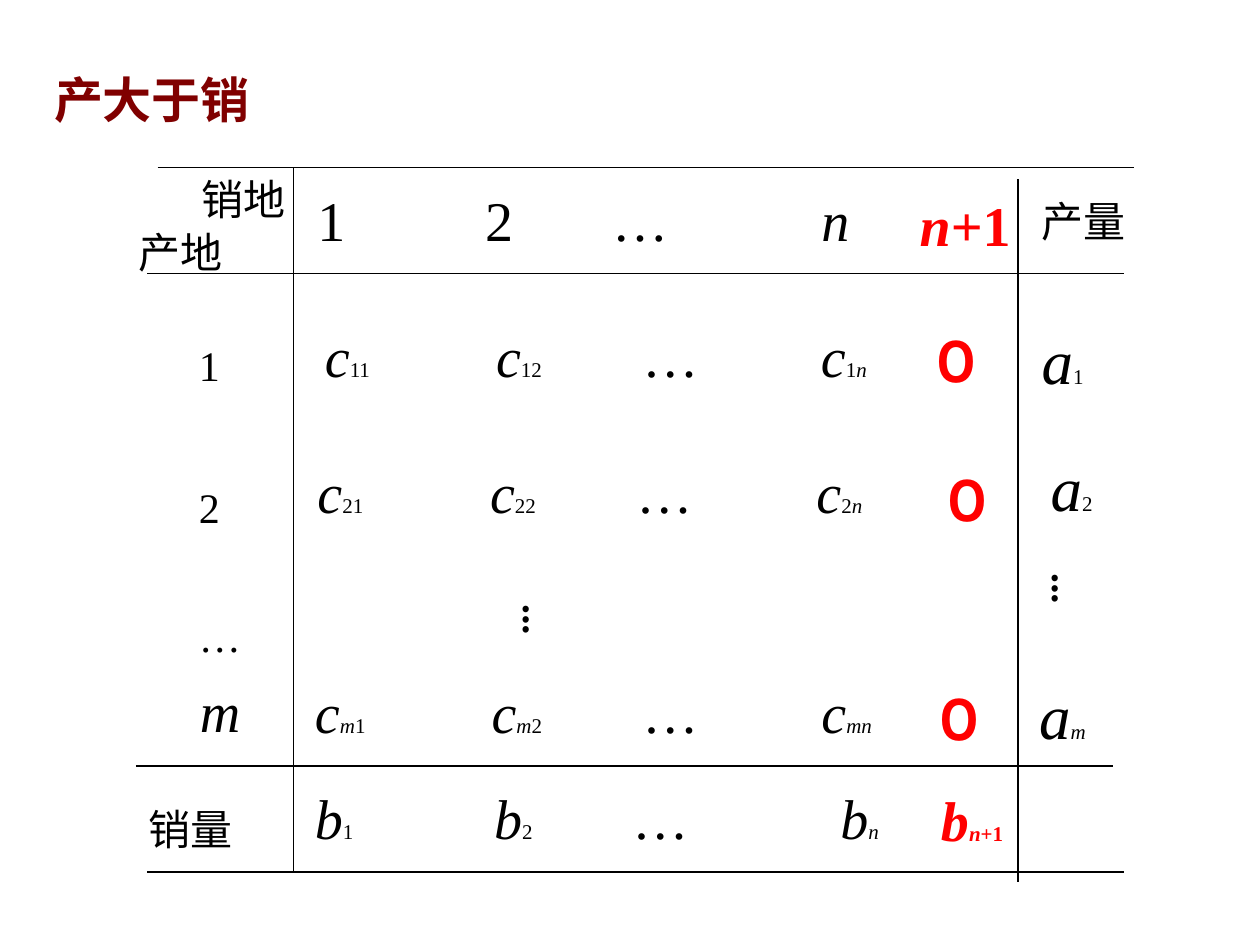
from itertools import groupby

from lxml import etree
from pptx import Presentation
from pptx.dml.color import RGBColor
from pptx.enum.shapes import MSO_CONNECTOR
from pptx.enum.text import MSO_ANCHOR
from pptx.oxml.ns import qn
from pptx.util import Cm, Pt

STRAIGHT = MSO_CONNECTOR.STRAIGHT
MIDDLE = MSO_ANCHOR.MIDDLE
COLORS = {"ink": "000000", "title": "800000", "added": "FF0000"}
SANS, SERIF = "Karla", "Times New Roman"
SUB_SIZE = 12
HEIGHTS = {24: 1.27, 28: 1.45, 32: 1.63, 36: 1.78}

RULES = [
    (3.18, 3.38, 22.86, 3.38),
    (2.97, 5.51, 22.66, 5.51),
    (2.74, 15.44, 22.43, 15.44),
    (2.97, 17.58, 22.66, 17.58),
    (5.92, 3.38, 5.92, 17.58),
    (20.52, 3.61, 20.52, 17.78),
]
TITLE = ("产大于销", 0.84, 1.27)
LABELS = [
    ("销地", 3.81, 3.38),
    ("产地", 2.54, 4.45),
    ("销量", 2.74, 16.08),
    ("产量", 20.75, 3.81),
]
ROWS = [
    (["1", "2", "…", "n"], 6.15, 3.61, 11.56, (3.38, 5.94, 10.16)),
    (["c_11", "c_12", "…", "c_1n"], 6.3, 6.35, 11.86, (3.45, 6.4, 10)),
    (["c_21", "c_22", "…", "c_2n"], 6.15, 9.09, 12.01, (3.48, 6.43, 10.06)),
    (["c_m1", "c_m2", "…", "c_mn"], 6.1, 13.54, 12.27, (3.56, 6.6, 10.21)),
    (["b_1", "b_2", "…", "b_n"], 6.1, 15.67, 12.4, (3.61, 6.4, 10.59)),
]
ORIGINS = [("1", 0), ("2", 52.5), ("…", 45)]
OUTPUTS = [("a_1", 20.75, 6.35), ("a_2", 20.93, 8.92), ("a_m", 20.7, 13.51)]
ZEROS = [(18.62, 6.32), (18.85, 9.12), (18.69, 13.54)]
ADDED = [("n+1", 18.29, 3.71, 5.41), ("b_n+1", 18.72, 15.72, 2.77)]
VERTICAL_DOTS = [(19.02, 9.96), (8.36, 10.59)]


def add_runs(p, text, size, font, color, bold):
    for italic, chars in groupby(text, lambda ch: ch.isascii() and ch.isalpha()):
        r = p.add_run()
        r.text = "".join(chars)
        r.font.size = Pt(size)
        r.font.name = font
        r.font.bold = bold
        r.font.italic = italic
        r.font.color.rgb = RGBColor.from_string(COLORS[color])


def add_text(s, paragraphs, x, y, w=2.97, h=None, size=24, font=SERIF,
             color="ink", bold=False, stops=()):
    sp = s.shapes.add_textbox(Cm(x), Cm(y), Cm(w), Cm(h or HEIGHTS[size]))
    tf = sp.text_frame
    tf.word_wrap = True
    for i, (cells, before) in enumerate(paragraphs):
        p = tf.paragraphs[0] if i == 0 else tf.add_paragraph()
        if stops:
            tabs = etree.SubElement(p._p.get_or_add_pPr(), qn("a:tabLst"))
            for stop in stops:
                etree.SubElement(tabs, qn("a:tab"), pos=str(Cm(stop)), algn="l")
        if before:
            p.space_before = Pt(before)
        for n, cell in enumerate(cells):
            base, _, sub = cell.partition("_")
            add_runs(p, "\t" * (n > 0) + base, size, font, color, bold)
            add_runs(p, sub, SUB_SIZE, font, color, bold)
    return tf


def add_line(s, x1, y1, x2, y2):
    line = s.shapes.add_connector(STRAIGHT, Cm(x1), Cm(y1), Cm(x2), Cm(y2))
    line.line.color.rgb = RGBColor.from_string(COLORS["ink"])
    line.line.width = Pt(0.75)
    etree.SubElement(line._element.spPr, qn("a:effectLst"))


def add_vertical_dots(s, x, y):
    tf = add_text(s, [(["…"], 0)], x, y, 3.89, 3.38, size=32, font=SANS)
    tf.vertical_anchor = MIDDLE
    tf.margin_left, tf.margin_right = Cm(1.52), Cm(0.13)
    tf.margin_top, tf.margin_bottom = Cm(1.6), Cm(0.25)
    tf._txBody.bodyPr.set("vert", "eaVert")


def main():
    prs = Presentation()
    prs.slide_width, prs.slide_height = Cm(25.4), Cm(19.05)
    s = prs.slides.add_slide(prs.slide_layouts[6])

    for rule in RULES:
        add_line(s, *rule)
    title, x, y = TITLE
    add_text(s, [([title], 0)], x, y, 12.27, size=28, font=SANS,
             color="title", bold=True)
    for text, x, y in LABELS:
        add_text(s, [([text], 0)], x, y, font=SANS)
    add_text(s, [([text], before) for text, before in ORIGINS],
             3.76, 6.71, 1.55, 7)
    add_text(s, [(["m"], 0)], 3.78, 13.51, size=32)
    for cells, x, y, w, stops in ROWS:
        add_text(s, [(cells, 0)], x, y, w, size=32, stops=stops)
    for text, x, y in OUTPUTS:
        add_text(s, [([text], 0)], x, y, size=36)
    for x, y in ZEROS:
        add_text(s, [(["0"], 0)], x, y, size=36, font=SANS,
                 color="added", bold=True)
    for text, x, y, w in ADDED:
        add_text(s, [([text], 0)], x, y, w, size=32, color="added", bold=True)
    for x, y in VERTICAL_DOTS:
        add_vertical_dots(s, x, y)

    prs.save("out.pptx")


if __name__ == "__main__":
    main()
